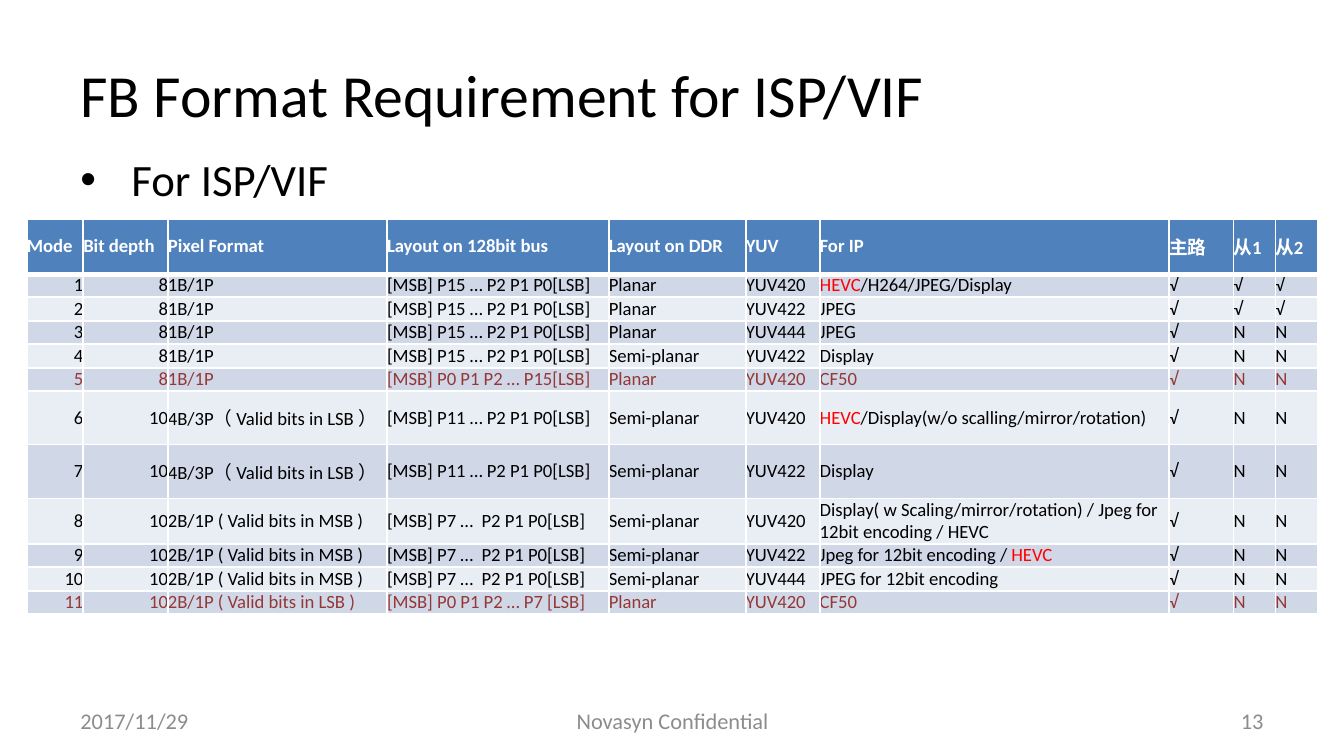
from lxml import etree
from pptx import Presentation
from pptx.dml.color import RGBColor
from pptx.enum.text import MSO_ANCHOR, PP_ALIGN
from pptx.oxml.ns import qn
from pptx.util import Inches, Pt

LEFT, CENTER, RIGHT = PP_ALIGN.LEFT, PP_ALIGN.CENTER, PP_ALIGN.RIGHT
TOP, MIDDLE = MSO_ANCHOR.TOP, MSO_ANCHOR.MIDDLE
BLACK, GRAY, WHITE, RED, MAROON = "000000", "8C8C8C", "FFFFFF", "FF0000", "953735"
HEADER_FILL, BAND_FILLS = "4F81BD", ("E9EDF4", "D0D8E8")


def color(value):
    return RGBColor.from_string(value)


def style(paragraph, size, tint, align=LEFT, bold=False):
    paragraph.alignment = align
    paragraph.font.name = "Calibri"
    paragraph.font.size = Pt(size)
    paragraph.font.bold = bold
    paragraph.font.color.rgb = color(tint)


deck = Presentation()
deck.slide_width, deck.slide_height = Inches(10), Inches(10 * 9 / 16)
page = deck.slides.add_slide(deck.slide_layouts[6])

texts = [
    ("FB Format Requirement for ISP/VIF", 0.5, 0.23, 9, 0.94, 32, BLACK, LEFT, MIDDLE),
    ("For ISP/VIF", 0.5, 1.08, 9, 3.94, 24, BLACK, LEFT, TOP),
    ("2017/11/29", 0.5, 5.21, 2.33, 0.3, 12, GRAY, LEFT, MIDDLE),
    ("Novasyn Confidential", 3.42, 5.21, 3.17, 0.3, 12, GRAY, CENTER, MIDDLE),
    ("13", 7.17, 5.21, 2.33, 0.3, 12, GRAY, RIGHT, MIDDLE),
]
for text, left, top, width, height, size, tint, align, anchor in texts:
    box = page.shapes.add_textbox(Inches(left), Inches(top), Inches(width), Inches(height))
    frame = box.text_frame
    frame.word_wrap = True
    frame.vertical_anchor = anchor
    para = frame.paragraphs[0]
    para.text = text
    if text == "For ISP/VIF":
        properties = para._p.get_or_add_pPr()
        properties.set("marL", str(Inches(0.38)))
        properties.set("indent", str(Inches(-0.38)))
        etree.SubElement(properties, qn("a:buFont"), typeface="Arial")
        etree.SubElement(properties, qn("a:buChar"), char="•")
    style(para, size, tint, align)

PLANAR, SEMI = "Planar", "Semi-planar"
BUS_8, BUS_4B = "[MSB] P15 … P2 P1 P0[LSB]", "[MSB] P11 … P2 P1 P0[LSB]"
BUS_2B = "[MSB] P7 …  P2 P1 P0[LSB]"
LSB_4B, MSB_2B = "4B/3P（ Valid bits in LSB ）", "2B/1P ( Valid bits in MSB )"
headings = ["Mode", "Bit depth", "Pixel Format", "Layout on 128bit bus", "Layout on DDR",
            "YUV", "For IP", "主路", "从1", "从2"]
modes = [
    (8, "1B/1P", BUS_8, PLANAR, 420, "*HEVC*/H264/JPEG/Display"),
    (8, "1B/1P", BUS_8, PLANAR, 422, "JPEG"),
    (8, "1B/1P", BUS_8, PLANAR, 444, "JPEG"),
    (8, "1B/1P", BUS_8, SEMI, 422, "Display"),
    (8, "1B/1P", "[MSB] P0 P1 P2 … P15[LSB]", PLANAR, 420, "CF50"),
    (10, LSB_4B, BUS_4B, SEMI, 420, "*HEVC*/Display(w/o scalling/mirror/rotation)"),
    (10, LSB_4B, BUS_4B, SEMI, 422, "Display"),
    (10, MSB_2B, BUS_2B, SEMI, 420,
     "Display( w Scaling/mirror/rotation) / Jpeg for 12bit encoding / HEVC"),
    (10, MSB_2B, BUS_2B, SEMI, 422, "Jpeg for 12bit encoding / *HEVC*"),
    (10, MSB_2B, BUS_2B, SEMI, 444, "JPEG for 12bit encoding"),
    (10, "2B/1P ( Valid bits in LSB )", "[MSB] P0 P1 P2 … P7 [LSB]", PLANAR, 420, "CF50"),
]
rows = [headings]
for mode, (depth, pixel, bus, layout, yuv, target) in enumerate(modes, 1):
    secondary = "√" if mode <= 2 else "N"
    rows.append([str(mode), str(depth), pixel, bus, layout, f"YUV{yuv}", target,
                 "√", secondary, secondary])

widths = [0.42, 0.63, 1.63, 1.65, 1.02, 0.55, 2.6, 0.48, 0.31, 0.32]
heights = [0.41, 0.17, 0.18, 0.17, 0.18, 0.17, 0.4, 0.4, 0.34, 0.17, 0.18, 0.17]
table = page.shapes.add_table(len(rows), len(widths), Inches(0.2), Inches(1.63),
                              Inches(sum(widths)), Inches(sum(heights))).table
for column, width in zip(table.columns, widths):
    column.width = Inches(width)
for row, height in zip(table.rows, heights):
    row.height = Inches(height)

for r, values in enumerate(rows):
    header = r == 0
    tint = WHITE if header else MAROON if r in (5, 11) else BLACK
    fill = HEADER_FILL if header else BAND_FILLS[r % 2]
    edges = {"L": 1, "R": 1, "T": 3 if r == 1 else 1, "B": 3 if header else 1}
    for c, value in enumerate(values):
        cell = table.cell(r, c)
        cell.margin_left = cell.margin_right = cell.margin_top = cell.margin_bottom = 0
        cell.vertical_anchor = MIDDLE
        cell.fill.solid()
        cell.fill.fore_color.rgb = color(fill)
        para = cell.text_frame.paragraphs[0]
        style(para, 10, tint, RIGHT if c < 2 and not header else LEFT, header)
        for part, text in enumerate(value.split("*")):
            if text:
                span = para.add_run()
                span.text = text
                if part % 2:
                    span.font.color.rgb = color(RED)
        properties = cell._tc.get_or_add_tcPr()
        for position, (side, weight) in enumerate(edges.items()):
            line = etree.Element(qn(f"a:ln{side}"), w=str(Pt(weight)))
            solid = etree.SubElement(line, qn("a:solidFill"))
            etree.SubElement(solid, qn("a:srgbClr"), val=WHITE)
            properties.insert(position, line)

deck.save("out.pptx")
